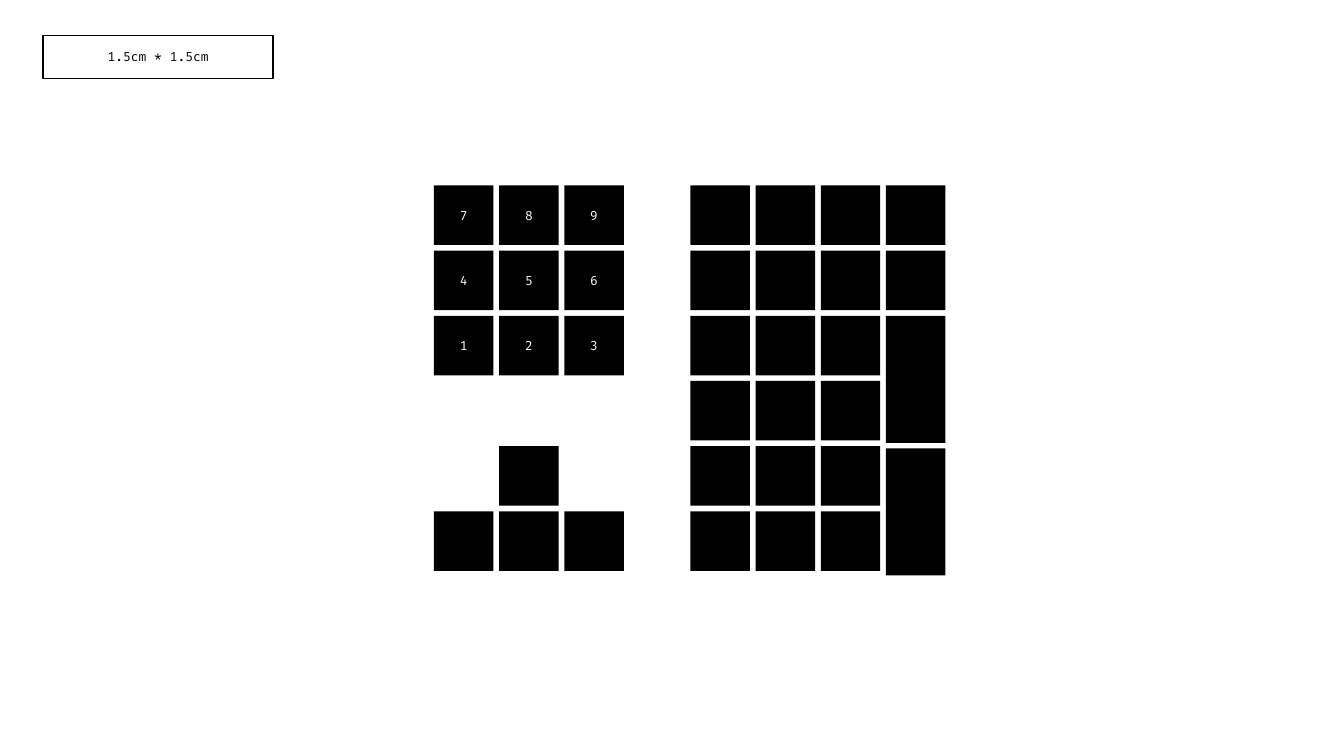
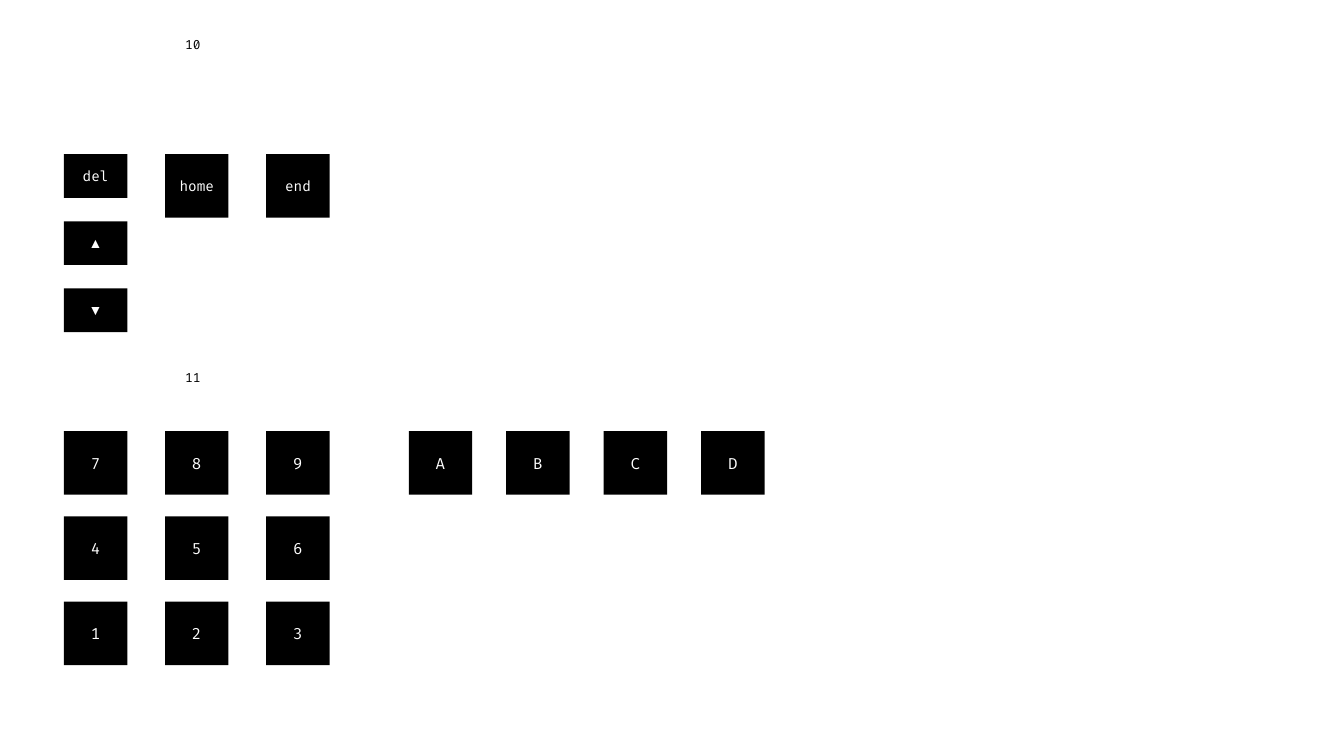
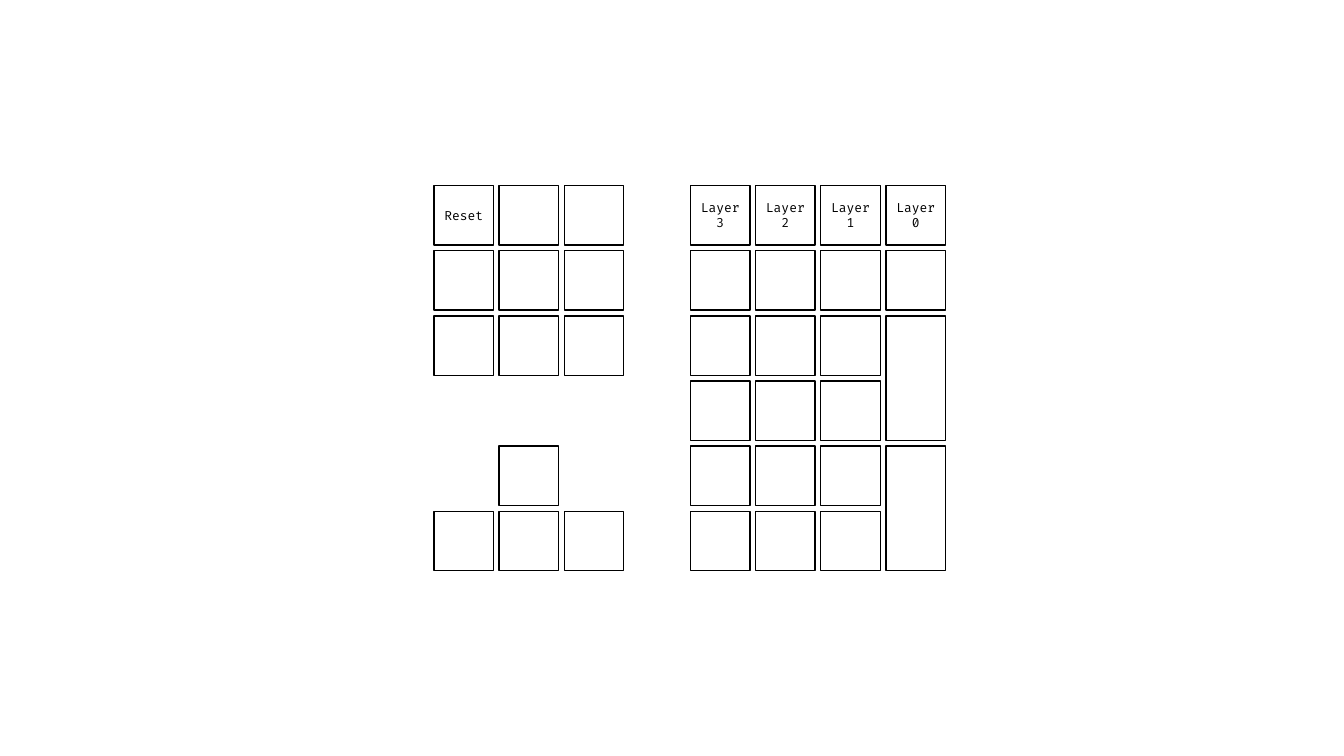
from pptx import Presentation
from pptx.dml.color import RGBColor
from pptx.enum.shapes import MSO_SHAPE
from pptx.enum.text import MSO_ANCHOR, PP_ALIGN
from pptx.util import Pt

BLACK = RGBColor(0x00, 0x00, 0x00)
WHITE = RGBColor(0xFF, 0xFF, 0xFF)
CODE_FONT = "Fira Code"
SYMBOL_FONT = "Arial"

DIGITS = [["7", "8", "9"], ["4", "5", "6"], ["1", "2", "3"]]
RESET_KEYS = [["Reset", "", ""], ["", "", ""], ["", "", ""]]
ARROW_KEYS = [[None, "", None], ["", "", ""]]
BLANK_TOP = ["", "", "", ""]
LAYER_TOP = ["Layer 3", "Layer 2", "Layer 1", "Layer 0"]
PAD_REST = [["", "", "", ""]] + [["", "", "", None]] * 4
EDIT_KEYS = [["home", "end"]]
SHORT_KEYS = [("del", CODE_FONT), ("▲", SYMBOL_FONT), ("▼", SYMBOL_FONT)]
LETTERS = [["A", "B", "C", "D"]]
SIZE_NOTE = "1.5cm * 1.5cm"
GROUP_LABELS = [("10", 12.2), ("11", 249.8)]

KEY = 42.52
PITCH = 46.55
BOARD_LEFT, PAD_LEFT, BOARD_TOP = 310, 493.2, 132.5
ARROW_TOP = BOARD_TOP + 4 * PITCH
TALL_LEFT = PAD_LEFT + 3 * PITCH
TALL_TOP = BOARD_TOP + 2 * PITCH

CAP = 45.36
CAP_LEFT, CAP_TOP = 45.6, 308
CAP_PITCH_X, CAP_PITCH_Y = 72.3, 60.9
LETTER_LEFT, LETTER_PITCH = 292, 69.6
EDIT_TOP, SHORT_HEIGHT, SHORT_PITCH = 110.1, 31.2, 47.95

FILLED = dict(fill=BLACK, color=WHITE)
OUTLINED = dict(fill=WHITE, color=BLACK, line=BLACK)


def write(shape, text, *, size=9, font=CODE_FONT, color=BLACK):
    frame = shape.text_frame
    frame.word_wrap = True
    frame.vertical_anchor = MSO_ANCHOR.MIDDLE
    paragraph = frame.paragraphs[0]
    paragraph.alignment = PP_ALIGN.CENTER
    run = paragraph.add_run()
    run.text = text
    run.font.size = Pt(size)
    run.font.name = font
    run.font.color.rgb = color


def draw_key(slide, left, top, width, height, text="", *, fill, color, line=None, **style):
    key = slide.shapes.add_shape(MSO_SHAPE.RECTANGLE, Pt(left), Pt(top), Pt(width), Pt(height))
    key.shadow.inherit = False
    key.fill.solid()
    key.fill.fore_color.rgb = fill
    if line is None:
        key.line.fill.background()
    else:
        key.line.color.rgb = line
        key.line.width = Pt(1)
    if text:
        write(key, text, color=color, **style)


def draw_grid(slide, rows, left, top, side, pitch_x, pitch_y, **style):
    for row, labels in enumerate(rows):
        for column, label in enumerate(labels):
            if label is not None:
                draw_key(slide, left + column * pitch_x, top + row * pitch_y,
                         side, side, label, **style)


def draw_keyboard(slide, left_keys, top_row, tall_height, tall_pitch, style):
    blocks = [(left_keys, BOARD_LEFT, BOARD_TOP), (ARROW_KEYS, BOARD_LEFT, ARROW_TOP),
              ([top_row] + PAD_REST, PAD_LEFT, BOARD_TOP)]
    for rows, left, top in blocks:
        draw_grid(slide, rows, left, top, KEY, PITCH, PITCH, **style)
    for order in range(2):
        draw_key(slide, TALL_LEFT, TALL_TOP + order * tall_pitch, KEY, tall_height, **style)


deck = Presentation()
deck.slide_width, deck.slide_height = Pt(960), Pt(540)
blank_layout = deck.slide_layouts[6]
filled_board, caps, layer_board = [deck.slides.add_slide(blank_layout) for _ in range(3)]

draw_key(filled_board, 30.8, 25.2, 164.2, 31, SIZE_NOTE, **OUTLINED)
draw_keyboard(filled_board, DIGITS, BLANK_TOP, 90.7, 94.7, FILLED)

draw_grid(caps, DIGITS, CAP_LEFT, CAP_TOP, CAP, CAP_PITCH_X, CAP_PITCH_Y, size=11, **FILLED)
draw_grid(caps, LETTERS, LETTER_LEFT, CAP_TOP, CAP, LETTER_PITCH, 0, size=11, **FILLED)
draw_grid(caps, EDIT_KEYS, CAP_LEFT + CAP_PITCH_X, EDIT_TOP, CAP, CAP_PITCH_X, 0,
          size=10, **FILLED)
for order, (label, font) in enumerate(SHORT_KEYS):
    draw_key(caps, CAP_LEFT, EDIT_TOP + order * SHORT_PITCH, CAP, SHORT_HEIGHT, label,
             size=10, font=font, **FILLED)
for label, top in GROUP_LABELS:
    write(caps.shapes.add_textbox(Pt(118), Pt(top), Pt(39.6), Pt(39.6)), label)

draw_keyboard(layer_board, RESET_KEYS, LAYER_TOP, KEY + PITCH, 2 * PITCH, OUTLINED)

deck.save("out.pptx")
